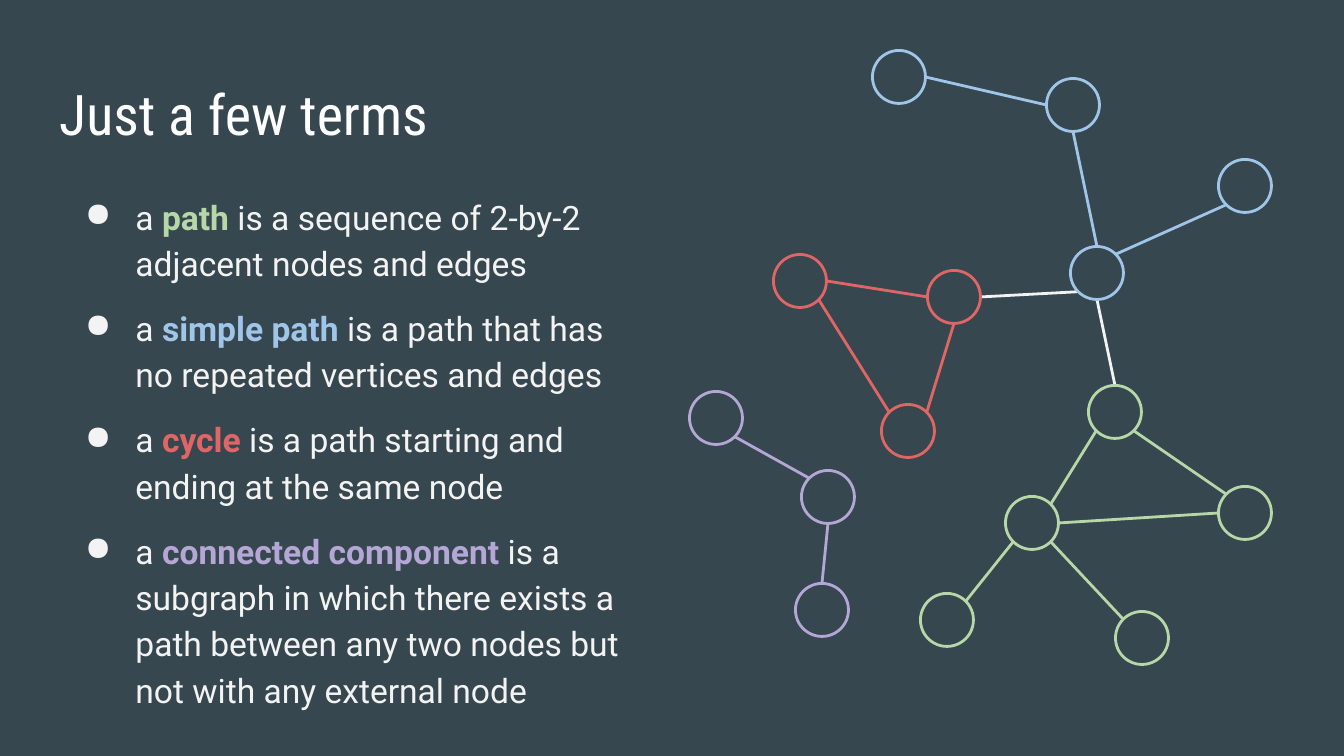
"""Build a slide that explains graph terms beside a coloured example graph."""
from math import cos, radians, sin

from lxml.etree import SubElement
from pptx import Presentation
from pptx.dml.color import RGBColor
from pptx.enum.shapes import MSO_CONNECTOR as CONNECTOR, MSO_SHAPE as SHAPE
from pptx.oxml.ns import qn
from pptx.util import Emu, Pt

SLIDE_WIDTH, SLIDE_HEIGHT = 1344, 756
SCALE = 9144000 / SLIDE_WIDTH
COLOURS = {
    "background": "37474F", "title": "FFFFFF", "text": "F3F3F3",
    "green": "B6D7A8", "blue": "9FC5E8", "red": "E06666", "purple": "B4A7D6",
}
DIAMETER = 53
ANGLES = {"E": 0, "SE": 45, "S": 90, "SW": 135, "W": 180, "NW": 225, "N": 270, "NE": 315}


def px(*lengths):
    return [Emu(round(length * SCALE)) for length in lengths]


def add_run(paragraph, text, font="Roboto", size=18, colour="text", bold=False):
    run = paragraph.add_run()
    run.text = text
    run.font.name = font
    run.font.size = Pt(size)
    run.font.bold = bold
    run.font.color.rgb = RGBColor.from_string(COLOURS[colour])


presentation = Presentation()
presentation.slide_width, presentation.slide_height = px(SLIDE_WIDTH, SLIDE_HEIGHT)
slide = presentation.slides.add_slide(presentation.slide_layouts[6])
slide.background.fill.solid()
slide.background.fill.fore_color.rgb = RGBColor.from_string(COLOURS["background"])

frames = []
for box in [(46, 66, 431, 85), (55, 177, 582, 542)]:
    frame = slide.shapes.add_textbox(*px(*box)).text_frame
    frame.word_wrap = True
    frame.margin_left = frame.margin_top = frame.margin_right = frame.margin_bottom = Pt(7.2)
    frames.append(frame)
title, body = frames
add_run(title.paragraphs[0], "Just a few terms", font="Roboto Condensed", size=30, colour="title")

terms = [
    ("path", "green", " is a sequence of 2-by-2 adjacent nodes and edges"),
    ("simple path", "blue", " is a path that has no repeated vertices and edges"),
    ("cycle", "red", " is a path starting and ending at the same node"),
    ("connected component", "purple",
     " is a subgraph in which there exists a path between any two nodes but not with any external node"),
]
for index, (term, colour, definition) in enumerate(terms):
    paragraph = body.add_paragraph() if index else body.paragraphs[0]
    paragraph.line_spacing = 1.15
    paragraph.space_before = Pt(10 if index else 0)
    properties = paragraph._p.get_or_add_pPr()
    properties.set("marL", str(Pt(36)))
    properties.set("indent", str(-Pt(27)))
    bullet_colour = SubElement(properties, qn("a:buClr"))
    SubElement(bullet_colour, qn("a:srgbClr"), val=COLOURS["text"])
    SubElement(properties, qn("a:buChar"), char="●")
    add_run(paragraph, "a ")
    add_run(paragraph, term, colour=colour, bold=True)
    add_run(paragraph, definition)

nodes = {
    "red left": (800, 281), "red right": (954, 297), "red bottom": (908, 431),
    "blue end": (899, 77), "blue top": (1073, 105),
    "blue right": (1245, 186), "blue hub": (1097, 273),
    "green top": (1115, 412), "green hub": (1032, 523), "green right": (1245, 513),
    "green leaf left": (947, 620), "green leaf right": (1142, 638),
    "purple top": (716, 418), "purple middle": (828, 497), "purple bottom": (822, 610),
}
edges = [
    ("red left", "SE", "red bottom", "NW"),
    ("red left", "E", "red right", "W"),
    ("red right", "S", "red bottom", "NE"),
    ("red right", "E", "blue hub", "SW"),
    ("blue hub", "N", "blue top", "S"),
    ("blue hub", "NE", "blue right", "SW"),
    ("blue end", "E", "blue top", "W"),
    ("green top", "N", "blue hub", "S"),
    ("green leaf left", "NE", "green hub", "SW"),
    ("green hub", "NE", "green top", "SW"),
    ("green top", "SE", "green right", "NW"),
    ("green hub", "E", "green right", "W"),
    ("green leaf right", "NW", "green hub", "SE"),
    ("purple top", "SE", "purple middle", "NW"),
    ("purple middle", "S", "purple bottom", "N"),
]

for start, start_side, end, end_side in edges:
    points = []
    for node, side in [(start, start_side), (end, end_side)]:
        x, y = nodes[node]
        angle = radians(ANGLES[side])
        points += [x + DIAMETER / 2 * cos(angle), y + DIAMETER / 2 * sin(angle)]
    edge = slide.shapes.add_connector(CONNECTOR.STRAIGHT, *px(*points))
    start_group, end_group = start.split()[0], end.split()[0]
    colour = start_group if start_group == end_group else "text"
    edge.line.color.rgb = RGBColor.from_string(COLOURS[colour])
    edge.line.width = Pt(1.5)
    SubElement(edge._element.spPr, qn("a:effectLst"))

for name, (x, y) in nodes.items():
    box = px(x - DIAMETER / 2, y - DIAMETER / 2, DIAMETER, DIAMETER)
    circle = slide.shapes.add_shape(SHAPE.OVAL, *box)
    circle.shadow.inherit = False
    circle.fill.background()
    circle.line.color.rgb = RGBColor.from_string(COLOURS[name.split()[0]])
    circle.line.width = Pt(1.5)

presentation.save("out.pptx")
